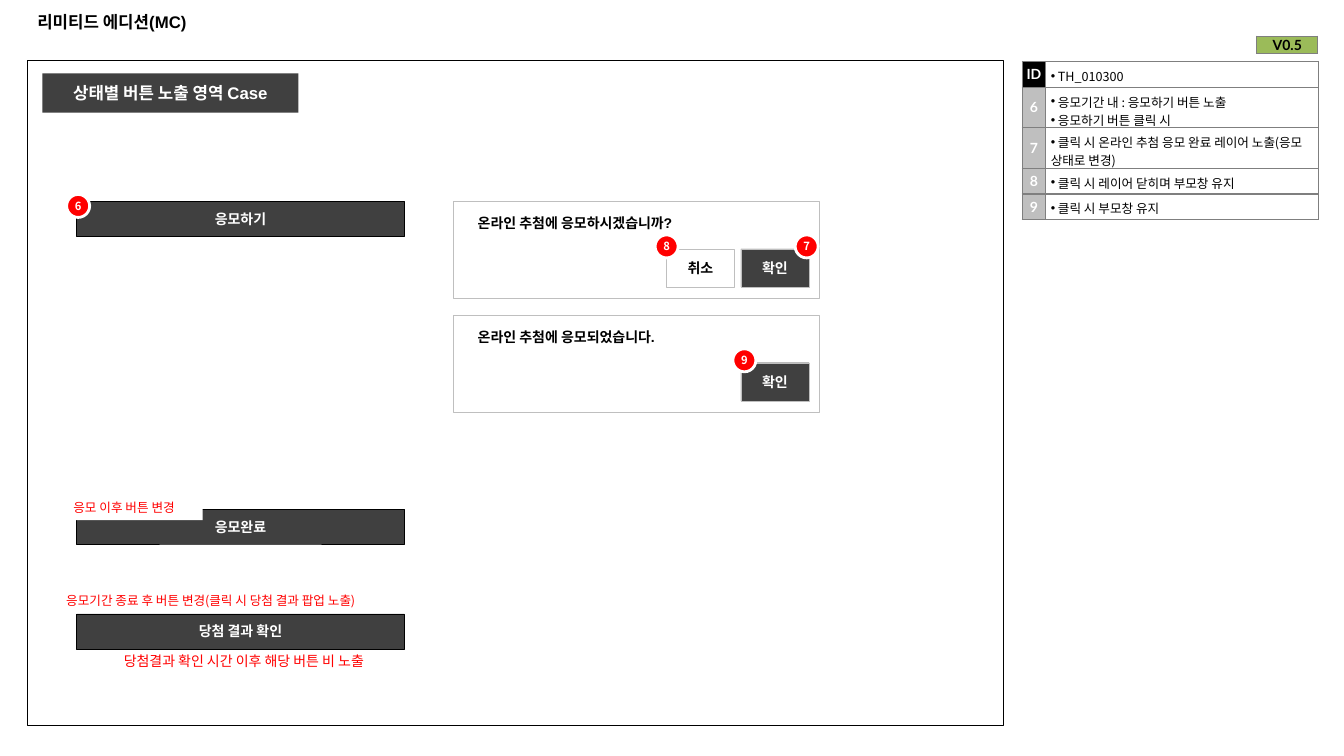
from lxml import etree
from pptx import Presentation
from pptx.dml.color import RGBColor
from pptx.enum.shapes import MSO_SHAPE as Shape
from pptx.enum.text import MSO_ANCHOR as Anchor, MSO_AUTO_SIZE as AutoSize, PP_ALIGN as Align
from pptx.oxml.ns import qn
from pptx.util import Cm, Pt

BLACK, WHITE, DARK, RED = "000000", "FFFFFF", "404040", "FF0000"
SILVER, GRAY, GREEN = "BFBFBF", "7F7F7F", "9BBB59"
NOTO, LATO, ARIAL = "Noto Sans CJK KR", "Lato", "Arial"

# All positions and sizes are in centimetres.
TITLE = "리미티드 에디션(MC)"
HEADING = "상태별 버튼 노출 영역 Case"
VERSION = "V0.5"
FRAME = (0.69, 1.52, 24.61, 16.76)

BAR_LEFT, BAR_WIDTH, BAR_HEIGHT = 1.93, 8.26, 0.88
BARS = [("응모하기", 5.08), ("응모완료", 12.83), ("당첨 결과 확인", 15.47)]
NOTES = [  # text, left, top, width, height, size, fill
    ("응모기간 종료 후 버튼 변경(클릭 시 당첨 결과 팝업 노출)", 1.42, 14.81, 8.76, 0.64, 9, WHITE),
    ("응모 이후 버튼 변경", 1.6, 12.47, 3.51, 0.64, 9, WHITE),
    ("당첨결과 확인 시간 이후 해당 버튼 비 노출", 2.87, 16.33, 7.42, 0.69, 10, None),
]

POPUP_LEFT, POPUP_WIDTH, POPUP_HEIGHT = 11.43, 9.22, 2.44
CONFIRM = ("확인", 18.67, DARK, WHITE)
CANCEL = ("취소", 16.79, WHITE, BLACK)
POPUPS = [  # message, top, buttons, badges with their left edge
    ("온라인 추첨에 응모하시겠습니까?", 5.08, [CONFIRM, CANCEL], [("7", 20.04), ("8", 16.51)]),
    ("온라인 추첨에 응모되었습니다.", 7.95, [CONFIRM], [("9", 18.47)]),
]

SPEC_COLUMNS = (0.59, 6.87)
SPEC_ROWS = [  # id, descriptions, height
    ("ID", ["TH_010300"], 0.65),
    ("6", ["응모기간 내 : 응모하기 버튼 노출", "응모하기 버튼 클릭 시"], 1.02),
    ("7", ["클릭 시 온라인 추첨 응모 완료 레이어 노출(응모 상태로 변경)"], 1.02),
    ("8", ["클릭 시 레이어 닫히며 부모창 유지"], 0.65),
    ("9", ["클릭 시 부모창 유지"], 0.65),
]

deck = Presentation()
deck.slide_width, deck.slide_height = Cm(33.87), Cm(19.05)
slide = deck.slides.add_slide(deck.slide_layouts[6])


def rgb(color):
    return RGBColor.from_string(color)


def set_font(paragraph, name, size, color, bold):
    font = paragraph.font
    font.name, font.size, font.bold = name, Pt(size), bold
    font.color.rgb = rgb(color)


def add_box(box, fill=None, line=None, line_width=0.25, shape=Shape.RECTANGLE):
    item = slide.shapes.add_shape(shape, *map(Cm, box))
    item.shadow.inherit = False
    if fill:
        item.fill.solid()
        item.fill.fore_color.rgb = rgb(fill)
    else:
        item.fill.background()
    if line:
        item.line.color.rgb = rgb(line)
        item.line.width = Pt(line_width)
    else:
        item.line.fill.background()
    return item


def add_label(box, text, font, size, color, fill, line=None, inset=None, **outline):
    """Filled shape with bold text in its middle."""
    item = add_box(box, fill, line, **outline)
    frame = item.text_frame
    frame.text, frame.vertical_anchor, frame.word_wrap = text, Anchor.MIDDLE, True
    if inset is not None:
        frame.margin_left = frame.margin_right = Cm(inset)
        frame.margin_top = frame.margin_bottom = Cm(inset)
    frame.paragraphs[0].alignment = Align.CENTER
    set_font(frame.paragraphs[0], font, size, color, True)


def add_text(box, text, font, size, color, bold, wrap=True, fill=None):
    item = slide.shapes.add_textbox(*map(Cm, box))
    if fill:
        item.fill.solid()
        item.fill.fore_color.rgb = rgb(fill)
    frame = item.text_frame
    frame.text, frame.word_wrap, frame.auto_size = text, wrap, AutoSize.SHAPE_TO_FIT_TEXT
    set_font(frame.paragraphs[0], font, size, color, bold)


def add_badge(number, left, top):
    add_label((left, top, 0.58, 0.58), number, NOTO, 8, WHITE, RED, WHITE,
              inset=0, line_width=2, shape=Shape.OVAL)


def add_grid(left, top, columns, heights):
    grid = slide.shapes.add_table(len(heights), len(columns), Cm(left), Cm(top),
                                  Cm(sum(columns)), Cm(sum(heights))).table
    for column, width in zip(grid.columns, columns):
        column.width = Cm(width)
    for row, height in zip(grid.rows, heights):
        row.height = Cm(height)
    return grid


def style_cell(cell, fill, inset):
    """Set fill and insets, and draw a thin gray border on every side."""
    cell.margin_left = cell.margin_right = cell.margin_top = Cm(inset)
    cell.margin_bottom = 0
    properties = cell._tc.get_or_add_tcPr()
    for side in ("lnL", "lnR", "lnT", "lnB"):
        border = etree.SubElement(properties, qn(f"a:{side}"), w=str(Pt(1)))
        solid = etree.SubElement(border, qn("a:solidFill"))
        etree.SubElement(solid, qn("a:srgbClr"), val=GRAY)
    cell.fill.solid()
    cell.fill.fore_color.rgb = rgb(fill)


def fill_tag(cell, text, fill, color):
    style_cell(cell, fill, 0)
    cell.text, cell.vertical_anchor = text, Anchor.MIDDLE
    paragraph = cell.text_frame.paragraphs[0]
    paragraph.alignment = Align.CENTER
    set_font(paragraph, LATO, 10, color, True)


def fill_description(cell, lines):
    style_cell(cell, WHITE, 0.13)
    cell.text = "\n".join(f" {line}" for line in lines)
    for paragraph in cell.text_frame.paragraphs:
        properties = paragraph._p.get_or_add_pPr()
        properties.set("marL", "0")
        properties.set("indent", "0")
        etree.SubElement(properties, qn("a:buFont"), typeface=ARIAL)
        etree.SubElement(properties, qn("a:buChar"), char="•")
        set_font(paragraph, NOTO, 9, BLACK, False)


add_box(FRAME, line=BLACK, line_width=0.75)
add_text((0.69, 0.18, 32.49, 0.99), TITLE, ARIAL, 12, BLACK, True)
add_label((1.07, 1.85, 6.45, 0.99), HEADING, ARIAL, 12, WHITE, DARK)

for caption, top in BARS:
    add_label((BAR_LEFT, top, BAR_WIDTH, BAR_HEIGHT), caption, LATO, 10, WHITE, DARK, BLACK,
              inset=0.1)
for note, left, top, width, height, size, fill in NOTES:
    add_text((left, top, width, height), note, NOTO, size, RED, False, wrap=False, fill=fill)
add_badge("6", 1.68, 4.9)

for message, top, buttons, badges in POPUPS:
    add_box((POPUP_LEFT, top, POPUP_WIDTH, POPUP_HEIGHT), WHITE, SILVER)
    add_text((POPUP_LEFT + 0.36, top + 0.2, 6.6, 0.69), message, ARIAL, 10, BLACK, True)
    for caption, left, fill, color in buttons:
        add_label((left, top + 1.19, 1.72, 0.97), caption, NOTO, 10, color, fill, SILVER)
    for number, left in badges:
        add_badge(number, left, top + 0.84)

spec_table = add_grid(25.76, 1.55, SPEC_COLUMNS, [height for *_, height in SPEC_ROWS])
for index, (tag, descriptions, _) in enumerate(SPEC_ROWS):
    fill_tag(spec_table.cell(index, 0), tag, SILVER if index else BLACK, WHITE)
    fill_description(spec_table.cell(index, 1), descriptions)

version_table = add_grid(31.67, 0.91, [1.54], [0.44])
fill_tag(version_table.cell(0, 0), VERSION, GREEN, BLACK)

deck.save("out.pptx")
